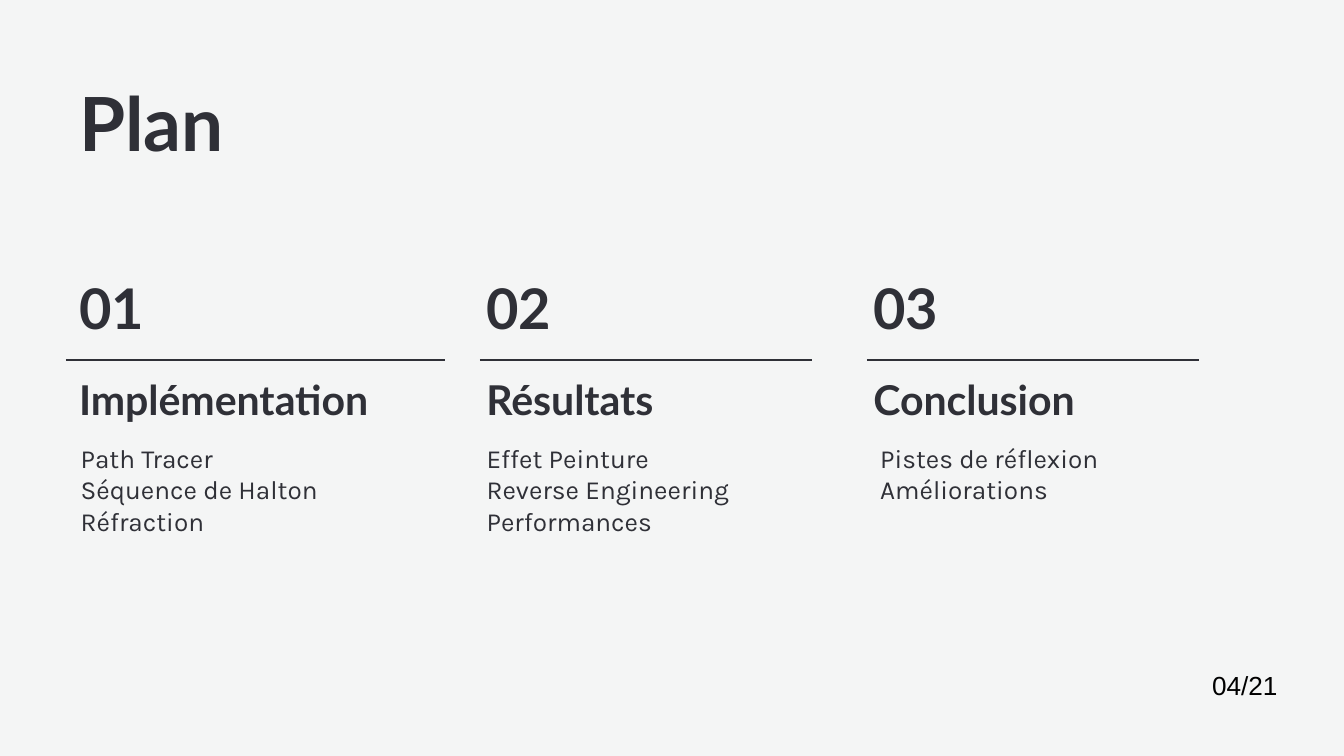
from lxml import etree
from pptx import Presentation
from pptx.dml.color import RGBColor
from pptx.enum.shapes import MSO_CONNECTOR
from pptx.enum.text import MSO_ANCHOR, MSO_AUTO_SIZE, PP_ALIGN
from pptx.oxml.ns import qn
from pptx.util import Inches, Pt

STRAIGHT = MSO_CONNECTOR.STRAIGHT
TOP, MIDDLE = MSO_ANCHOR.TOP, MSO_ANCHOR.MIDDLE
NO_AUTOFIT = MSO_AUTO_SIZE.NONE
LEFT_ALIGN = PP_ALIGN.LEFT

BACKGROUND = RGBColor(0xF4, 0xF5, 0xF5)
DARK = RGBColor(0x2F, 0x30, 0x37)
BLACK = RGBColor(0, 0, 0)

TWO_CONTENT_LAYOUT = 3
RULE_TOP = 2.68

# Number, heading, left, heading width, rule start and end, list left and width, items
SECTIONS = [
    ("01", "Implémentation", 0.49, 2.93, 0.49, 3.31, 0.5, 3.57,
     ["Path Tracer", "Séquence de Halton", "Réfraction"]),
    ("02", "Résultats", 3.52, 2.69, 3.57, 6.04, 3.52, 2.58,
     ["Effet Peinture", "Reverse Engineering", "Performances"]),
    ("03", "Conclusion", 6.4, 2.69, 6.45, 8.92, 6.45, 2.58,
     ["Pistes de réflexion", "Améliorations"]),
]


def write_text(shape, lines, size, font="Lato", color=DARK, bold=False,
               line_spacing=1.0, anchor=MIDDLE):
    """Fill a shape with one unbulleted paragraph per line."""
    frame = shape.text_frame
    frame.word_wrap = True
    frame.auto_size = NO_AUTOFIT
    frame.vertical_anchor = anchor
    frame.margin_left = frame.margin_right = Inches(0.1)
    frame.margin_top = frame.margin_bottom = Inches(0.1)
    for index, line in enumerate(lines):
        paragraph = frame.paragraphs[0] if index == 0 else frame.add_paragraph()
        properties = paragraph._p.get_or_add_pPr()
        properties.set("marL", "0")
        properties.set("indent", "0")
        etree.SubElement(properties, qn("a:buNone"))
        paragraph.alignment = LEFT_ALIGN
        paragraph.line_spacing = line_spacing
        paragraph.space_before = Pt(0)
        run = paragraph.add_run()
        run.text = line
        run.font.name = font
        run.font.size = Pt(size)
        run.font.bold = bold
        run.font.color.rgb = color


def place(shape, left, top, width, height):
    shape.left, shape.top = Inches(left), Inches(top)
    shape.width, shape.height = Inches(width), Inches(height)


def add_text(slide, box, lines, size, placeholder=None, **text_format):
    """Write into a placeholder, or into a new text box if none is given."""
    shape = placeholder
    if shape is None:
        shape = slide.shapes.add_textbox(0, 0, 0, 0)
    place(shape, *box)
    write_text(shape, lines, size, **text_format)


def add_title(slide, box, text, size, placeholder=None):
    add_text(slide, box, [text], size, placeholder, bold=True, line_spacing=0.9)


def add_rule(slide, start, end):
    rule = slide.shapes.add_connector(
        STRAIGHT, Inches(start), Inches(RULE_TOP), Inches(end), Inches(RULE_TOP))
    rule.line.color.rgb = DARK
    rule.line.width = Pt(0.75)
    etree.SubElement(rule._element.spPr, qn("a:effectLst"))


def add_section(slide, section, list_placeholder):
    (number, heading, left, heading_width, rule_start, rule_end,
     list_left, list_width, items) = section
    add_title(slide, (left, 2.76, heading_width, 0.46), heading, 22)
    add_title(slide, (left, 2.05, 0.84, 0.54), number, 30)
    add_rule(slide, rule_start, rule_end)
    add_text(slide, (list_left, 3.19, list_width, 0.89), items, 14,
             list_placeholder, font="Karla", anchor=TOP)


def main():
    presentation = Presentation()
    # Widescreen, 16:9
    presentation.slide_width = Inches(10)
    presentation.slide_height = Inches(10) * 9 // 16
    layout = presentation.slide_layouts[TWO_CONTENT_LAYOUT]
    slide = presentation.slides.add_slide(layout)
    slide.background.fill.solid()
    slide.background.fill.fore_color.rgb = BACKGROUND

    # Slide title
    add_title(slide, (0.49, 0.71, 2.74, 0.48), "Plan", 40, slide.shapes.title)

    # Three sections; the layout offers two list placeholders
    list_placeholders = [slide.placeholders[1], slide.placeholders[2], None]
    for section, placeholder in zip(SECTIONS, list_placeholders):
        add_section(slide, section, placeholder)

    # Page number
    add_text(slide, (8.92, 4.83, 0.84, 0.54), ["04/21"], 14,
             font="Arial", color=BLACK)

    presentation.save("out.pptx")


if __name__ == "__main__":
    main()
